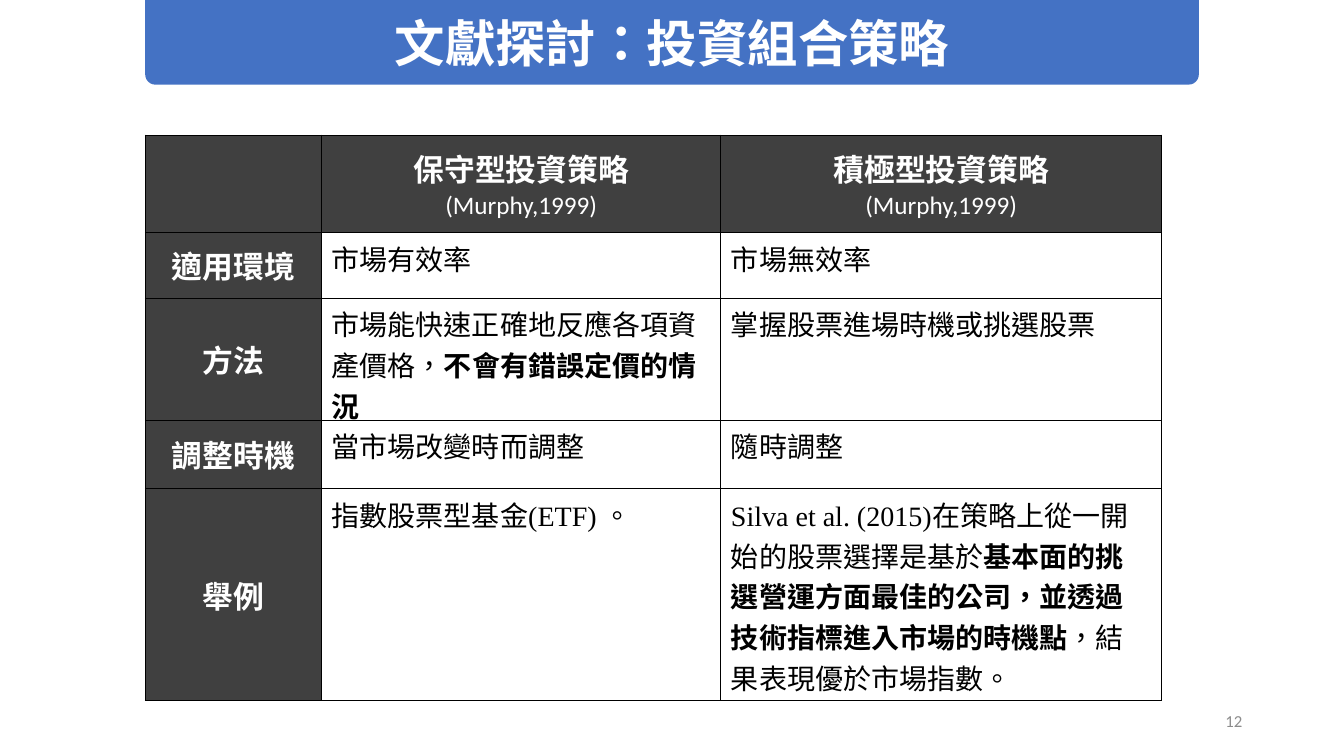
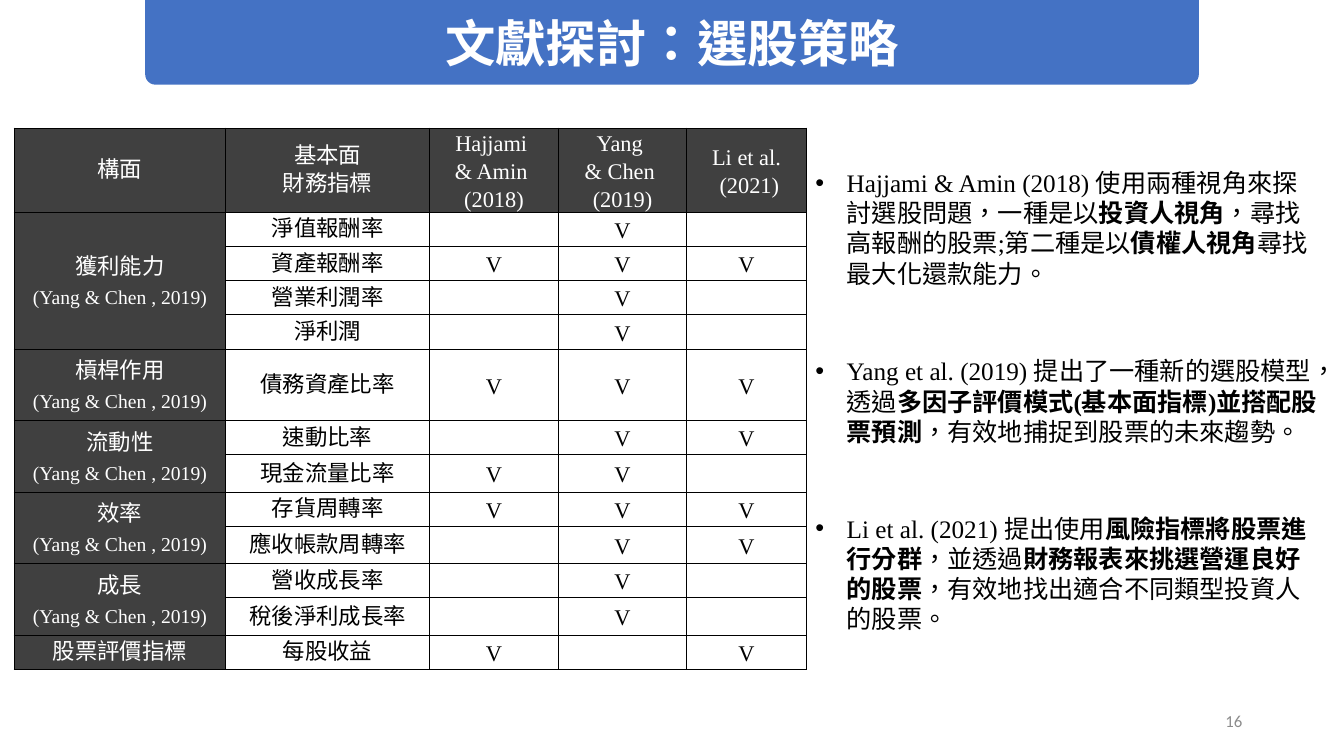
"""Build two literature review slides: portfolio strategies and stock selection."""
from lxml import etree
from pptx import Presentation, util as u
from pptx.dml.color import RGBColor
from pptx.enum import lang, shapes, text
from pptx.oxml.ns import qn

COLORS = {"band": "4472C4", "header": "404040", "white": "FFFFFF",
          "black": "000000", "number": "8C8C8C"}
CJK, SERIF, SANS = "Noto Sans CJK SC", "Times New Roman", "Calibri"
CENTER, RIGHT = text.PP_ALIGN.CENTER, text.PP_ALIGN.RIGHT
LEFT = text.PP_ALIGN.LEFT
MIDDLE, TOP = text.MSO_ANCHOR.MIDDLE, text.MSO_ANCHOR.TOP

BAND_BOX = (1.44, 0, 10.45, 0.84)
NUMBER_BOX = (9.42, 6.95, 3, 0.4)

STRATEGY_BOX = (1.44, 1.34, 10.08, 5.61)
STRATEGY_COLUMNS = (1.75, 3.96, 4.37)
STRATEGY_HEIGHTS = (0.97, 0.65, 1.21, 0.68, 2.1)
STRATEGY_HEADERS = ("保守型投資策略", "積極型投資策略")
STRATEGY_SOURCE = "(Murphy,1999)"
STRATEGY_ROWS = (
    ("適用環境", ("市場有效率",), ("市場無效率",)),
    ("方法", ("市場能快速正確地反應各項資產價格，", "不會有錯誤定價的情況"),
     ("掌握股票進場時機或挑選股票",)),
    ("調整時機", ("當市場改變時而調整",), ("隨時調整",)),
    ("舉例", ("指數股票型基金(ETF) 。",),
     ("Silva et al. (2015)在策略上從一開始的股票選擇是基於",
      "基本面的挑選營運方面最佳的公司，並透過技術指標進入市場的時機點",
      "，結果表現優於市場指數。")),
)

INDICATOR_BOX = (0.14, 1.27, 7.86, 5.38)
INDICATOR_COLUMNS = (2.1, 2.02, 1.28, 1.27, 1.19)
INDICATOR_HEIGHTS = (0.77, 0.34, 0.34, 0.34, 0.34, 0.71, 0.34, 0.37,
                     0.34, 0.37, 0.34, 0.37, 0.34)
INDICATOR_HEADERS = (
    ("構面",), ("基本面", "財務指標"), ("Hajjami ", "& Amin ", "(2018)"),
    ("Yang ", "& Chen ", "(2019)"), ("Li et al.", " (2021)"))
DIMENSION_SOURCE = "(Yang & Chen , 2019)"
DIMENSIONS = (
    ("獲利能力", DIMENSION_SOURCE, (("淨值報酬率", "010"), ("資產報酬率", "111"),
                              ("營業利潤率", "010"), ("淨利潤", "010"))),
    ("槓桿作用", DIMENSION_SOURCE, (("債務資產比率", "111"),)),
    ("流動性", DIMENSION_SOURCE, (("速動比率", "011"), ("現金流量比率", "110"))),
    ("效率", DIMENSION_SOURCE, (("存貨周轉率", "111"), ("應收帳款周轉率", "011"))),
    ("成長", DIMENSION_SOURCE, (("營收成長率", "010"), ("稅後淨利成長率", "010"))),
    ("股票評價指標", None, (("每股收益", "101"),)),
)
FINDINGS = (
    ((7.99, 1.61, 5.2, 1.31),
     ("Hajjami & Amin (2018) 使用兩種視角來探討選股問題，一種是以", "投資人視角",
      "，尋找高報酬的股票;第二種是以", "債權人視角", "尋找最大化還款能力。")),
    ((7.99, 3.48, 5.2, 1.01),
     ("Yang et al. (2019) 提出了一種新的選股模型，透過",
      "多因子評價模式(基本面指標)並搭配股票預測", "，有效地捕捉到股票的未來趨勢。")),
    ((7.99, 5.04, 5.2, 1.31),
     ("Li et al. (2021) 提出使用", "風險指標將股票進行分群", "，並透過",
      "財務報表來挑選營運良好的股票", "，有效地找出適合不同類型投資人的股票。")),
)


def inches(box):
    """Turn a box of numbers into lengths."""
    return [u.Inches(value) for value in box]


def color(name):
    """Return a named colour."""
    return RGBColor.from_string(COLORS[name])


def add_run(paragraph, words, size, tone="black", bold=False, font=SERIF):
    """Add one formatted run with its East Asian font."""
    run = paragraph.add_run()
    run.text = words
    run.font.size, run.font.bold, run.font.name = u.Pt(size), bold, font
    run.font.color.rgb = color(tone)
    run.font.language_id = lang.MSO_LANGUAGE_ID.TRADITIONAL_CHINESE
    etree.SubElement(run.font._element, qn("a:ea"), typeface=CJK)


def add_mixed_runs(paragraph, parts, size):
    """Add runs that alternate between regular and bold."""
    for index, words in enumerate(parts):
        add_run(paragraph, words, size, bold=index % 2 == 1)


def write_lines(frame, lines, alignment=CENTER, spacing=None):
    """Write (words, size, tone, bold, font) lines as paragraphs."""
    for index, line in enumerate(lines):
        paragraph = frame.add_paragraph() if index else frame.paragraphs[0]
        paragraph.alignment = alignment
        if spacing:
            paragraph.line_spacing = u.Pt(spacing)
        add_run(paragraph, *line)


def add_frame(slide, box):
    """Add a wrapping text box and return its text frame."""
    frame = slide.shapes.add_textbox(*inches(box)).text_frame
    frame.word_wrap = True
    return frame


def add_titled_slide(presentation, title, number):
    """Add a slide with the title band and the page number."""
    slide = presentation.slides.add_slide(presentation.slide_layouts[5])
    placeholder = slide.shapes.title
    band = slide.shapes.add_shape(
        shapes.MSO_SHAPE.ROUND_2_SAME_RECTANGLE, *inches(BAND_BOX))
    band.adjustments[0], band.adjustments[1] = 0, 0.12
    band.shadow.inherit = False
    band.fill.solid()
    band.fill.fore_color.rgb = color("band")
    band.line.fill.background()
    placeholder.element.addprevious(band.element)
    (placeholder.left, placeholder.top,
     placeholder.width, placeholder.height) = inches(BAND_BOX)
    placeholder.text_frame.vertical_anchor = MIDDLE
    write_lines(placeholder.text_frame, [(title, 36, "white", True, CJK)])
    frame = add_frame(slide, NUMBER_BOX)
    frame.vertical_anchor = MIDDLE
    write_lines(frame, [(number, 12, "number", False, SANS)], RIGHT)
    return slide


def add_borders(cell):
    """Draw thin black lines around a cell."""
    properties = cell._tc.get_or_add_tcPr()
    for side in ("lnL", "lnR", "lnT", "lnB"):
        line = etree.SubElement(properties, qn(f"a:{side}"), w=str(u.Pt(0.75)))
        fill = etree.SubElement(line, qn("a:solidFill"))
        etree.SubElement(fill, qn("a:srgbClr"), val=COLORS["black"])


def add_grid(slide, box, columns, heights):
    """Add a bordered table with dark first row and first column."""
    table = slide.shapes.add_table(
        len(heights), len(columns), *inches(box)).table
    table.horz_banding = table.first_row = False
    for column, width in zip(table.columns, columns):
        column.width = u.Inches(width)
    for row, height in zip(table.rows, heights):
        row.height = u.Inches(height)
    for row_index in range(len(heights)):
        for column_index in range(len(columns)):
            cell = table.cell(row_index, column_index)
            add_borders(cell)
            if row_index == 0 or column_index == 0:
                cell.fill.solid()
                cell.fill.fore_color.rgb = color("header")
                cell.vertical_anchor = MIDDLE
            else:
                cell.fill.background()
                cell.vertical_anchor = TOP
    return table


def add_strategy_table(slide, box):
    """Compare the two investment strategies."""
    table = add_grid(slide, box, STRATEGY_COLUMNS, STRATEGY_HEIGHTS)
    for index, header in enumerate(STRATEGY_HEADERS, 1):
        write_lines(table.cell(0, index).text_frame, [
            (header, 22, "white", True),
            (STRATEGY_SOURCE, 18, "white", False, SANS)])
    for row_index, (label, *entries) in enumerate(STRATEGY_ROWS, 1):
        write_lines(table.cell(row_index, 0).text_frame,
                    [(label, 22, "white", True)])
        for column_index, parts in enumerate(entries, 1):
            frame = table.cell(row_index, column_index).text_frame
            add_mixed_runs(frame.paragraphs[0], parts, 20)


def add_indicator_table(slide, box):
    """Mark which study uses which financial indicator."""
    table = add_grid(slide, box, INDICATOR_COLUMNS, INDICATOR_HEIGHTS)
    for cell in table.iter_cells():
        cell.margin_left = cell.margin_right = u.Inches(0.07)
        cell.margin_top = cell.margin_bottom = 0
        cell.vertical_anchor = MIDDLE
        cell.text_frame.paragraphs[0].line_spacing = u.Pt(20)

    def fill_cell(row, column, lines):
        """Write centred lines with fixed spacing."""
        write_lines(table.cell(row, column).text_frame, lines, spacing=20)

    for index, header in enumerate(INDICATOR_HEADERS):
        fill_cell(0, index, [(words, 16, "white") for words in header])
    row = 1
    for name, source, indicators in DIMENSIONS:
        last = row + len(indicators) - 1
        if last > row:
            table.cell(row, 0).merge(table.cell(last, 0))
        lines = [(name, 16, "white")]
        if source:
            lines.append((source, 14, "white"))
        fill_cell(row, 0, lines)
        for indicator, marks in indicators:
            fill_cell(row, 1, [(indicator, 16)])
            for column, mark in enumerate(marks, 2):
                if mark == "1":
                    fill_cell(row, column, [("V", 16)])
            row += 1


def add_finding(slide, box, parts):
    """Add one bulleted finding."""
    paragraph = add_frame(slide, box).paragraphs[0]
    paragraph.alignment = LEFT
    paragraph.line_spacing = u.Pt(21.6)
    properties = paragraph._p.get_or_add_pPr()
    indent = u.Inches(0.31)
    properties.set("marL", str(indent))
    properties.set("indent", str(-indent))
    etree.SubElement(properties, qn("a:buFont"), typeface="Arial")
    etree.SubElement(properties, qn("a:buChar"), char="•")
    add_mixed_runs(paragraph, parts, 18)


def main():
    """Build and save the presentation."""
    presentation = Presentation()
    presentation.slide_width = u.Inches(13.33)
    presentation.slide_height = u.Inches(7.5)
    slide = add_titled_slide(presentation, "文獻探討：投資組合策略", "12")
    add_strategy_table(slide, STRATEGY_BOX)
    slide = add_titled_slide(presentation, "文獻探討：選股策略", "16")
    add_indicator_table(slide, INDICATOR_BOX)
    for box, parts in FINDINGS:
        add_finding(slide, box, parts)
    presentation.save("out.pptx")


if __name__ == "__main__":
    main()
